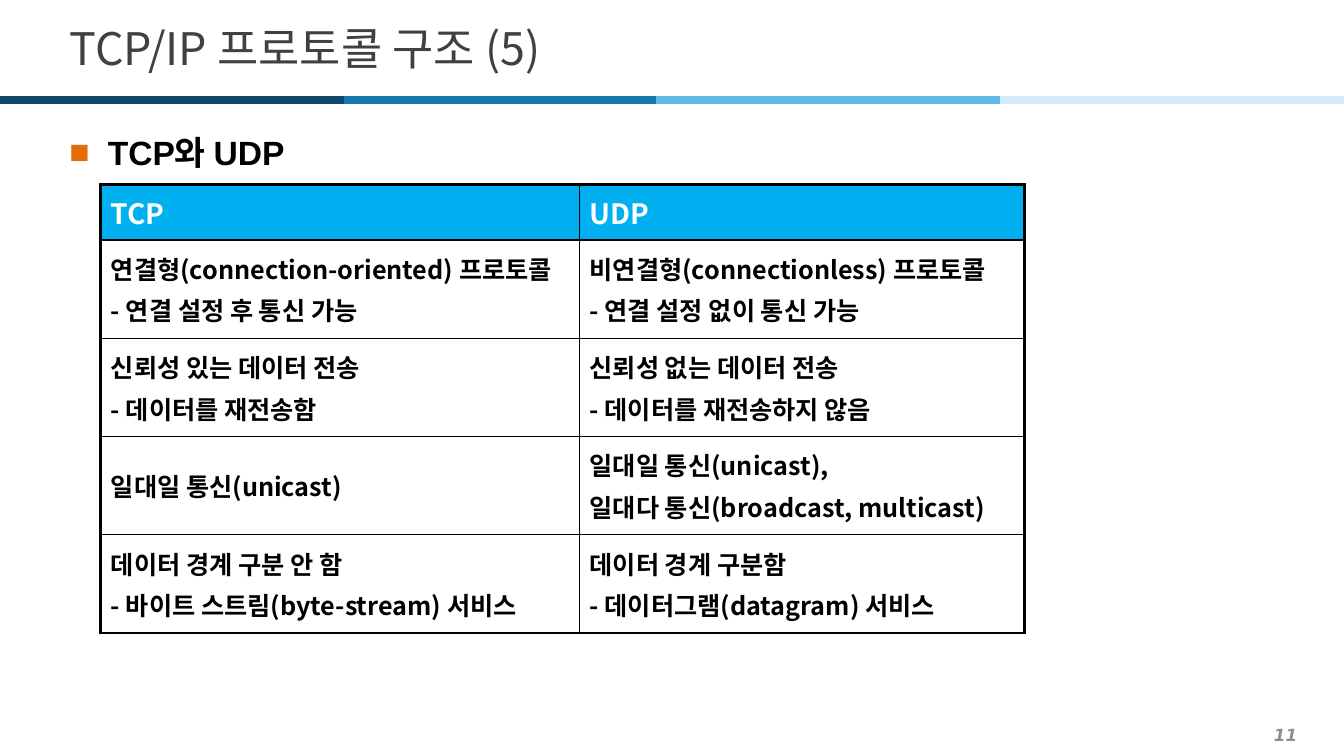
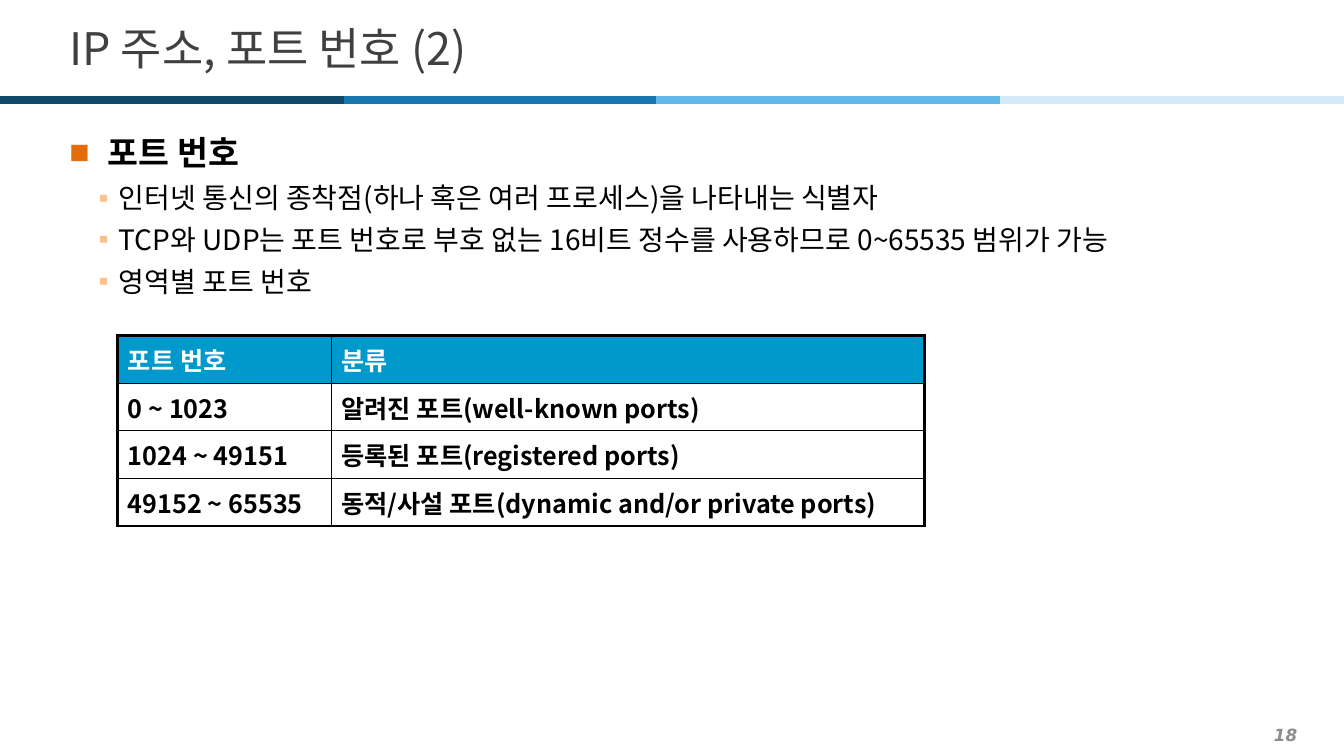
from lxml import etree
from pptx import Presentation
from pptx.dml.color import RGBColor
from pptx.enum import shapes, text
from pptx.oxml import ns
from pptx.util import Pt

COLORS = {
    "title": "404040", "text": "000000", "white": "FFFFFF", "number": "8C8C8C",
    "square": "E46C0A", "dot": "FAC090", "border": "000000",
}
KOREAN = "Noto Sans CJK KR"
BANDS = ["0F4A6B", "1877AC", "61B8E9", "D3EBF9"]
BAND_EDGES = [0, 245.5, 468.7, 714.2, 960]

# Bullet levels: character, colour, indent, hanging, line spacing, before, after, size, font, bold
LEVELS = [
    ("■", "square", 27.4, 27.4, 1.2, 0, 2, 24, "Arial", True),
    ("▪", "dot", 35.3, 14.4, 1.1, 1.5, 2, 20, KOREAN, False),
]

SLIDES = [
    {
        "title": "TCP/IP 프로토콜 구조 (5)",
        "number": "11",
        "body": [(0, "TCP와 UDP")],
        "at": (72, 131.8),
        "cols": [342, 318],
        "heights": [39.6] + [70.2] * 4,
        "head": ("00B0F0", 20),
        "rows": [
            ("TCP", "UDP"),
            ("연결형(connection-oriented) 프로토콜\n- 연결 설정 후 통신 가능",
             "비연결형(connectionless) 프로토콜\n- 연결 설정 없이 통신 가능"),
            ("신뢰성 있는 데이터 전송\n- 데이터를 재전송함",
             "신뢰성 없는 데이터 전송\n- 데이터를 재전송하지 않음"),
            ("일대일 통신(unicast)",
             "일대일 통신(unicast),\n일대다 통신(broadcast, multicast)"),
            ("데이터 경계 구분 안 함\n- 바이트 스트림(byte-stream) 서비스",
             "데이터 경계 구분함\n- 데이터그램(datagram) 서비스"),
        ],
    },
    {
        "title": "IP 주소, 포트 번호 (2)",
        "number": "18",
        "body": [
            (0, "포트 번호"),
            (1, "인터넷 통신의 종착점(하나 혹은 여러 프로세스)을 나타내는 식별자"),
            (1, "TCP와 UDP는 포트 번호로 부호 없는 16비트 정수를 사용하므로 0~65535 범위가 가능"),
            (1, "영역별 포트 번호"),
        ],
        "at": (84.2, 239.8),
        "cols": [152.6, 423.4],
        "heights": [34] * 4,
        "head": ("0099CC", 18),
        "rows": [
            ("포트 번호", "분류"),
            ("0 ~ 1023", "알려진 포트(well-known ports)"),
            ("1024 ~ 49151", "등록된 포트(registered ports)"),
            ("49152 ~ 65535", "동적/사설 포트(dynamic and/or private ports)"),
        ],
    },
]


def style(p, size, color, font=KOREAN, bold=False, italic=False):
    """Format every run, with the Korean font for East Asian letters."""
    for r in p.runs:
        f = r.font
        f.size, f.name, f.bold, f.italic = Pt(size), font, bold, italic
        f.color.rgb = RGBColor.from_string(COLORS[color])
        etree.SubElement(f._element, ns.qn("a:ea"), typeface=KOREAN)


def add_box(s, left, top, width, height, anchor):
    tf = s.shapes.add_textbox(Pt(left), Pt(top), Pt(width), Pt(height)).text_frame
    tf.word_wrap = True
    tf.vertical_anchor = anchor
    return tf


prs = Presentation()
prs.slide_width, prs.slide_height = Pt(960), Pt(540)
MIDDLE = text.MSO_ANCHOR.MIDDLE

for content in SLIDES:
    s = prs.slides.add_slide(prs.slide_layouts[6])

    # Page number and colour bands
    p = add_box(s, 14.4, 514, 919.4, 22.4, MIDDLE).paragraphs[0]
    p.text = content["number"]
    p.alignment = text.PP_ALIGN.RIGHT
    style(p, 12, "number", "DejaVu Sans", bold=True, italic=True)
    for color, start, end in zip(BANDS, BAND_EDGES, BAND_EDGES[1:]):
        band = s.shapes.add_connector(
            shapes.MSO_CONNECTOR.STRAIGHT, Pt(start), Pt(71.3), Pt(end), Pt(71.3))
        band.line.width = Pt(6)
        band.line.color.rgb = RGBColor.from_string(color)
        etree.SubElement(band._element.spPr, ns.qn("a:effectLst"))

    # Title
    p = add_box(s, 42.5, 9.4, 879, 49, MIDDLE).paragraphs[0]
    p.text = content["title"]
    style(p, 32, "title")

    # Bulleted text
    tf = add_box(s, 42.5, 85, 879, 434, text.MSO_ANCHOR.TOP)
    for i, (level, line) in enumerate(content["body"]):
        char, color, indent, hang, spacing, before, after, size, font, bold = LEVELS[level]
        p = tf.add_paragraph() if i else tf.paragraphs[0]
        p.text = line
        p.level = level
        p.line_spacing, p.space_before, p.space_after = spacing, Pt(before), Pt(after)
        style(p, size, "text", font, bold)
        pPr = p._p.get_or_add_pPr()
        pPr.set("marL", str(Pt(indent)))
        pPr.set("indent", str(-Pt(hang)))
        clr = etree.SubElement(pPr, ns.qn("a:buClr"))
        etree.SubElement(clr, ns.qn("a:srgbClr"), val=COLORS[color])
        etree.SubElement(pPr, ns.qn("a:buFont"), typeface="Arial")
        etree.SubElement(pPr, ns.qn("a:buChar"), char=char)

    # Table with a heavy frame and thin inner lines
    rows, cols, heights = content["rows"], content["cols"], content["heights"]
    left, top = content["at"]
    table = s.shapes.add_table(len(rows), len(cols), Pt(left), Pt(top),
                               Pt(sum(cols)), Pt(sum(heights))).table
    table.horz_banding = False
    for column, width in zip(table.columns, cols):
        column.width = Pt(width)
    head_fill, head_size = content["head"]
    for i, row in enumerate(rows):
        table.rows[i].height = Pt(heights[i])
        for j, words in enumerate(row):
            cell = table.cell(i, j)
            cell.vertical_anchor = MIDDLE
            cell.text_frame.text = words
            size, color = (18, "text") if i else (head_size, "white")
            for p in cell.text_frame.paragraphs:
                p.space_before = Pt(size * 0.2)
                style(p, size, color, bold=True)
            tcPr = cell._tc.get_or_add_tcPr()
            on_frame = {"lnL": j == 0, "lnR": j == len(cols) - 1,
                        "lnT": i == 0, "lnB": i == len(rows) - 1}
            for side, heavy in on_frame.items():
                ln = etree.SubElement(tcPr, ns.qn("a:" + side), w=str(Pt(2.25 if heavy else 1)))
                fill = etree.SubElement(ln, ns.qn("a:solidFill"))
                etree.SubElement(fill, ns.qn("a:srgbClr"), val=COLORS["border"])
            if i == 0:
                cell.fill.solid()
                cell.fill.fore_color.rgb = RGBColor.from_string(head_fill)
            else:
                cell.fill.background()

prs.save("out.pptx")
